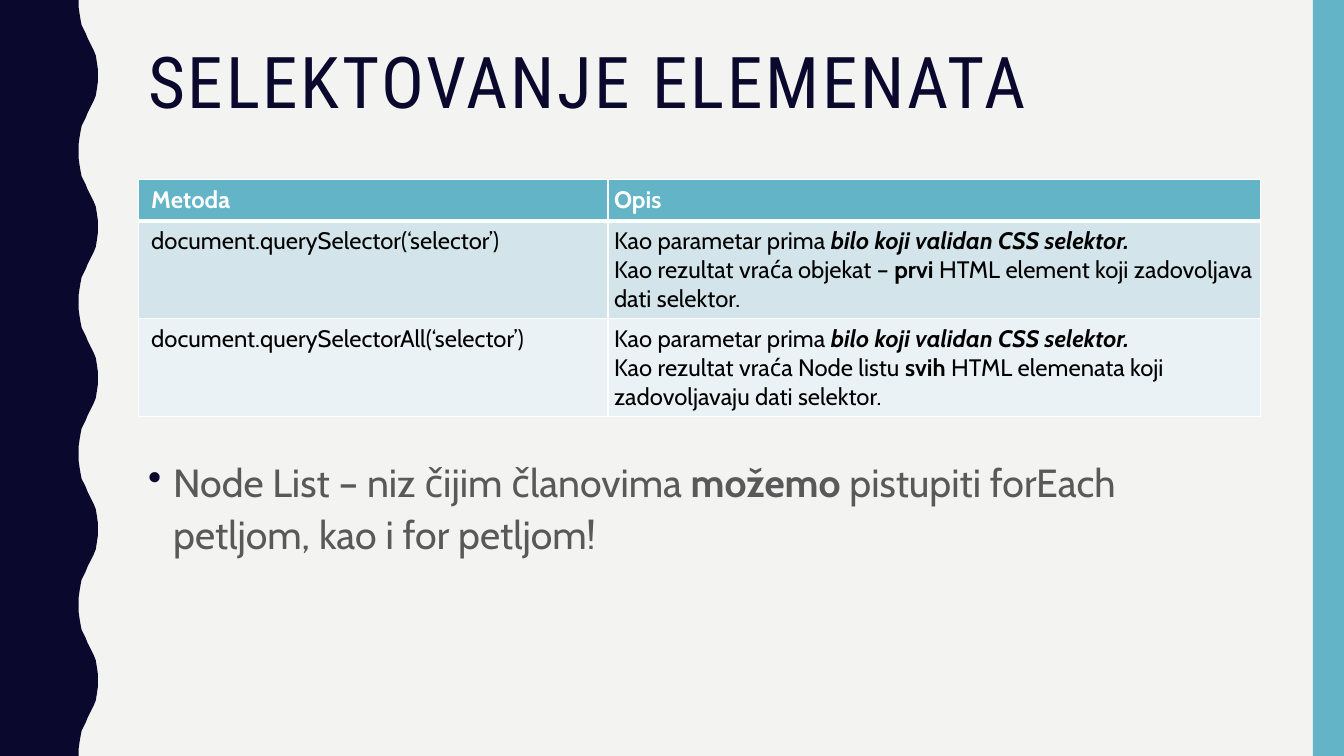
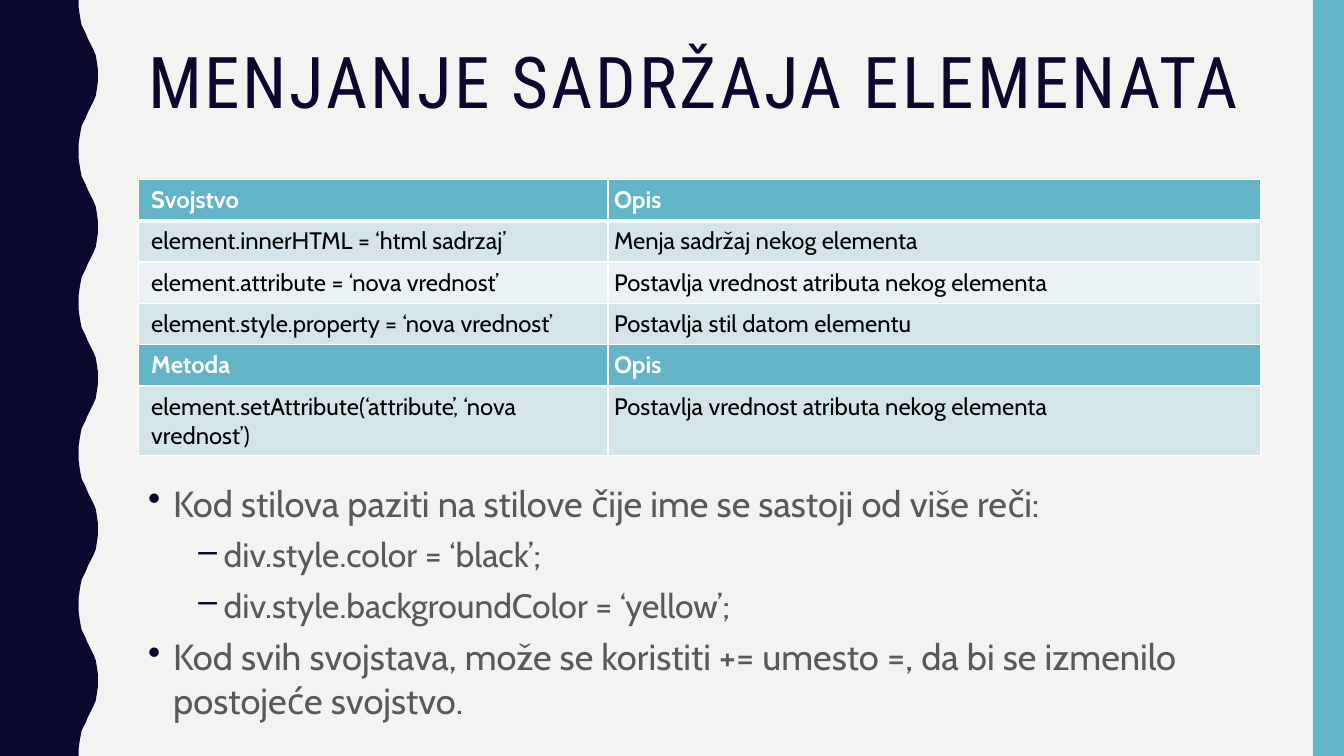
from lxml.etree import SubElement
from pptx import Presentation
from pptx.dml.color import RGBColor
from pptx.enum.shapes import MSO_SHAPE
from pptx.enum.text import MSO_ANCHOR
from pptx.oxml import parse_xml
from pptx.oxml.ns import nsdecls, qn
from pptx.util import Inches, Pt

NAVY = RGBColor(0x0B, 0x08, 0x2E)
TEAL = RGBColor(0x62, 0xB4, 0xC6)
PAPER = RGBColor(0xF3, 0xF3, 0xF2)
WHITE = RGBColor(0xFF, 0xFF, 0xFF)
BLACK = RGBColor(0x00, 0x00, 0x00)
GREY = RGBColor(0x59, 0x59, 0x59)
BAND_DARK = RGBColor(0xD3, 0xE5, 0xEA)
BAND_LIGHT = RGBColor(0xEA, 0xF2, 0xF5)

TITLE_FONT = "Roboto Condensed"
BODY_FONT = "Cabin"
LEFT, WIDTH = Inches(1.37), Inches(11.13)
PAGE_WIDTH, PAGE_HEIGHT = Inches(13.33), Inches(7.5)
COLUMNS = (4.66, 6.47)

# One half of a wave, from trough to crest; the other half mirrors it.
WAVE_COUNT, WAVE_LENGTH = 5, 1.5
HALF_WAVE = [(0.78, 0), (0.78, 0.07), (0.79, 0.14), (0.8, 0.2), (0.81, 0.25),
             (0.83, 0.29), (0.85, 0.33), (0.87, 0.38), (0.89, 0.42), (0.91, 0.46),
             (0.93, 0.5), (0.95, 0.55), (0.96, 0.61), (0.97, 0.68), (0.97, 0.75)]


def wave_edge():
    """Return the points of the wavy edge from top to bottom, in inches."""
    points = []
    for index in range(WAVE_COUNT):
        top = index * WAVE_LENGTH
        points += [(x, top + y) for x, y in HALF_WAVE]
        points += [(x, top + WAVE_LENGTH - y) for x, y in HALF_WAVE[-2::-1]]
    return points


def add_spans(para, spans):
    """Fill a paragraph from a string or from (text, style letters) pairs."""
    if isinstance(spans, str):
        spans = [(spans, "")]
    for text, style in spans:
        span = para.add_run()
        span.text = text
        if "b" in style:
            span.font.bold = True
        if "i" in style:
            span.font.italic = True


def set_font(para, name, size, color, bold=False):
    """Set the font that all runs of a paragraph share."""
    para.font.name = name
    para.font.size = Pt(size)
    para.font.color.rgb = color
    para.font.bold = bold


def set_bullet(para, mark, margin):
    """Give a paragraph a hanging bullet."""
    properties = para._p.get_or_add_pPr()
    properties.set("marL", str(Inches(margin)))
    properties.set("indent", str(Inches(-0.25)))
    color = SubElement(properties, qn("a:buClr"))
    SubElement(color, qn("a:srgbClr"), val=str(NAVY))
    SubElement(properties, qn("a:buChar"), char=mark)


def set_borders(cell, top, bottom):
    """Draw white borders; top and bottom are widths in points."""
    properties = cell._tc.get_or_add_tcPr()
    widths = (("lnL", 1), ("lnR", 1), ("lnT", top), ("lnB", bottom))
    for index, (side, width) in enumerate(widths):
        line = parse_xml(
            f'<a:{side} {nsdecls("a")} w="{Pt(width)}"><a:solidFill>'
            f'<a:srgbClr val="{WHITE}"/></a:solidFill></a:{side}>')
        properties.insert(index, line)


class DeckBuilder:
    """Holds the deck, its style and the current page."""

    def __init__(self):
        """Start an empty widescreen deck."""
        self.deck = Presentation()
        self.deck.slide_width, self.deck.slide_height = PAGE_WIDTH, PAGE_HEIGHT
        self.page = None

    def add_page(self, title):
        """Add a page with its background, side bands and title."""
        self.page = self.deck.slides.add_slide(self.deck.slide_layouts[6])
        fill = self.page.background.fill
        fill.solid()
        fill.fore_color.rgb = PAPER
        self.add_wave()
        self.paint(self.page.shapes.add_shape(
            MSO_SHAPE.RECTANGLE, Inches(13.02), 0, Inches(0.31), PAGE_HEIGHT), TEAL)
        self.add_title(title)

    def paint(self, shape, color):
        """Give a shape a plain fill without line or shadow."""
        shape.shadow.inherit = False
        shape.fill.solid()
        shape.fill.fore_color.rgb = color
        shape.line.fill.background()

    def add_wave(self):
        """Draw the wavy band on the left."""
        builder = self.page.shapes.build_freeform(0, 0)
        edge = [(Inches(x), Inches(y)) for x, y in wave_edge()]
        builder.add_line_segments(edge + [(0, PAGE_HEIGHT)], close=True)
        self.paint(builder.convert_to_shape(), NAVY)

    def add_text_frame(self, top, height):
        """Add a wrapping text box in the content column."""
        box = self.page.shapes.add_textbox(LEFT, Inches(top), WIDTH, Inches(height))
        box.text_frame.word_wrap = True
        box.text_frame.vertical_anchor = MSO_ANCHOR.TOP
        return box.text_frame

    def add_title(self, title):
        """Add the widely spaced title."""
        para = self.add_text_frame(0.42, 1.63).paragraphs[0]
        para.line_spacing = 0.9
        add_spans(para, title)
        set_font(para, TITLE_FONT, 51, NAVY)
        para.runs[0]._r.get_or_add_rPr().set("spc", "200")

    def add_table(self, rows, height, heading_rows=(0,)):
        """Add a two-column table; each cell is a list of paragraphs."""
        frame = self.page.shapes.add_table(
            len(rows), len(COLUMNS), LEFT, Inches(1.78), WIDTH, Inches(height))
        table = frame.table
        table.horz_banding = False
        for column, width in zip(table.columns, COLUMNS):
            column.width = Inches(width)
        for row_index, row in enumerate(rows):
            table.rows[row_index].height = Inches(0.41)
            heading = row_index in heading_rows
            band = BAND_DARK if row_index % 2 else BAND_LIGHT
            for column_index, paragraphs in enumerate(row):
                cell = table.cell(row_index, column_index)
                self.fill_cell(cell, paragraphs, TEAL if heading else band, heading)
                cell.margin_left = Inches(0.06 if column_index else 0.13)
                set_borders(cell, 3 if row_index == 1 else 1, 3 if row_index == 0 else 1)
        frame.height = Inches(height)

    def fill_cell(self, cell, paragraphs, color, heading):
        """Write and colour one table cell."""
        cell.fill.solid()
        cell.fill.fore_color.rgb = color
        cell.margin_right = cell.margin_top = cell.margin_bottom = Inches(0.06)
        for index, spans in enumerate(paragraphs):
            text_frame = cell.text_frame
            para = text_frame.add_paragraph() if index else text_frame.paragraphs[0]
            add_spans(para, spans)
            set_font(para, BODY_FONT, 17, WHITE if heading else BLACK, heading)

    def add_bullets(self, top, height, items, sizes, line_spacing=None):
        """Add bullets from (level, spans) pairs; sizes go by level."""
        text_frame = self.add_text_frame(top, height)
        for index, (level, spans) in enumerate(items):
            para = text_frame.add_paragraph() if index else text_frame.paragraphs[0]
            para.level = level
            set_bullet(para, "•–"[level], 0.25 + 0.5 * level)
            para.space_before = Pt(7)
            if line_spacing:
                para.line_spacing = line_spacing
            add_spans(para, spans)
            set_font(para, BODY_FONT, sizes[level], GREY)


def selector_row(method, start, count, end):
    """Return the row that describes one selector method."""
    parameter = [("Kao parametar prima ", ""), ("bilo koji validan CSS selektor.", "bi")]
    result = [(f"Kao rezultat vraća {start} ", ""), (count, "b"), (f" {end}", "")]
    return [method], [parameter, result]


def add_selection_page(builder):
    """Build the page on selecting elements."""
    builder.add_page("SELEKTOVANJE ELEMENATA")
    builder.add_table([
        (["Metoda"], ["Opis"]),
        selector_row("document.querySelector(‘selector’)", "objekat –", "prvi",
                     "HTML element koji zadovoljava dati selektor."),
        selector_row("document.querySelectorAll(‘selector’)", "Node listu", "svih",
                     "HTML elemenata koji zadovoljavaju dati selektor."),
    ], 2.37)
    builder.add_bullets(4.45, 1.18, [
        (0, [("Node List – niz čijim članovima ", ""), ("možemo", "b"),
             (" pistupiti forEach petljom, kao i for petljom!", "")]),
    ], (28,), 1.1)


def add_content_page(builder):
    """Build the page on changing the content of elements."""
    builder.add_page("MENJANJE SADRŽAJA ELEMENATA")
    builder.add_table([
        (["Svojstvo"], ["Opis"]),
        (["element.innerHTML = ‘html sadrzaj’"], ["Menja sadržaj nekog elementa"]),
        (["element.attribute = ‘nova vrednost’"],
         ["Postavlja vrednost atributa nekog elementa"]),
        (["element.style.property = ‘nova vrednost’"], ["Postavlja stil datom elementu"]),
        (["Metoda"], ["Opis"]),
        (["element.setAttribute(‘attribute’, ‘nova vrednost’)"],
         ["Postavlja vrednost atributa nekog elementa"]),
    ], 2.76, heading_rows=(0, 4))
    builder.add_bullets(4.72, 2.62, [
        (0, "Kod stilova paziti na stilove čije ime se sastoji od više reči:"),
        (1, "div.style.color = ‘black’;"),
        (1, "div.style.backgroundColor = ‘yellow’;"),
        (0, "Kod svih svojstava, može se koristiti += umesto =, "
            "da bi se izmenilo postojeće svojstvo."),
    ], (25.9, 24.1))


def main():
    """Build and save the deck."""
    builder = DeckBuilder()
    add_selection_page(builder)
    add_content_page(builder)
    builder.deck.save("out.pptx")


main()
